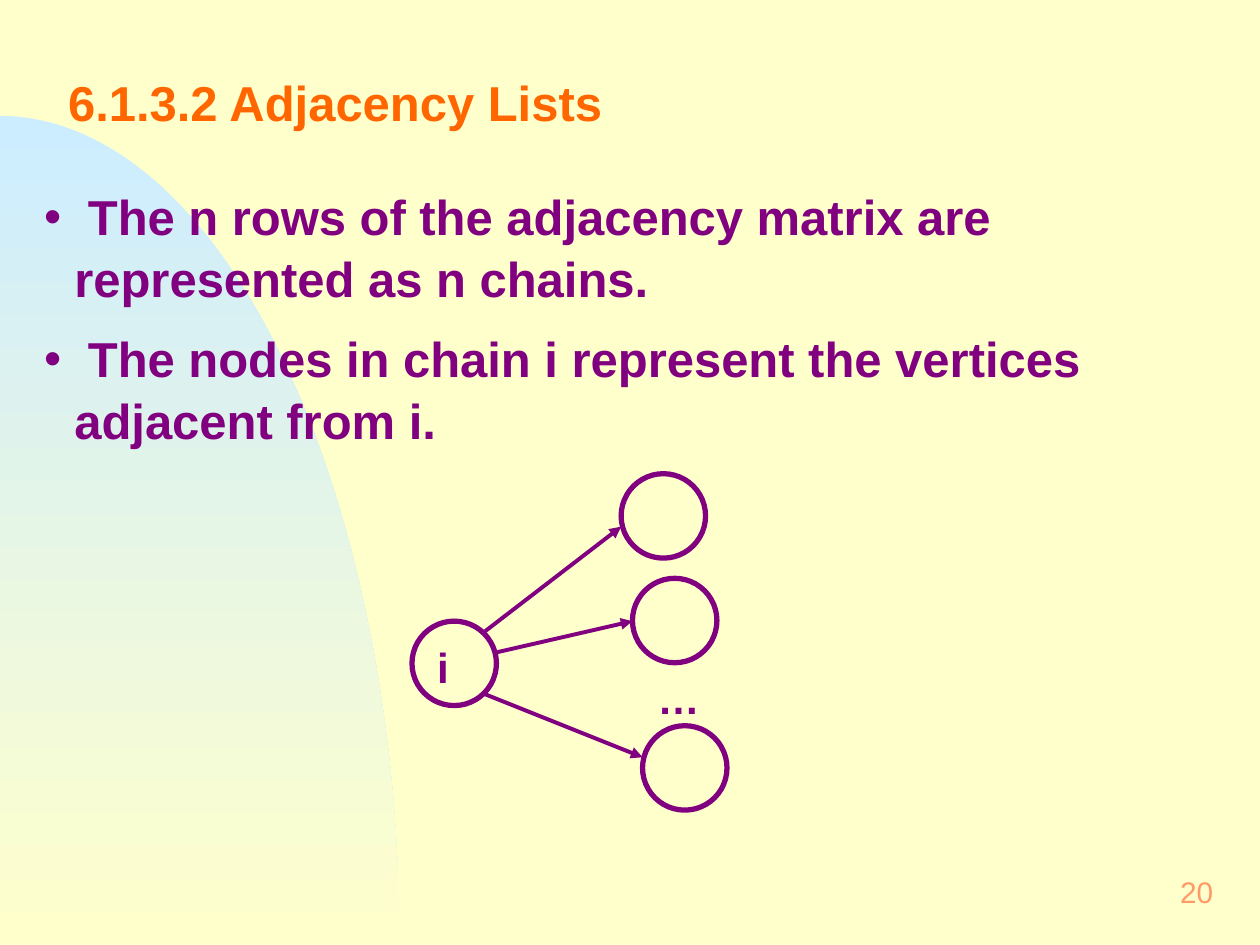
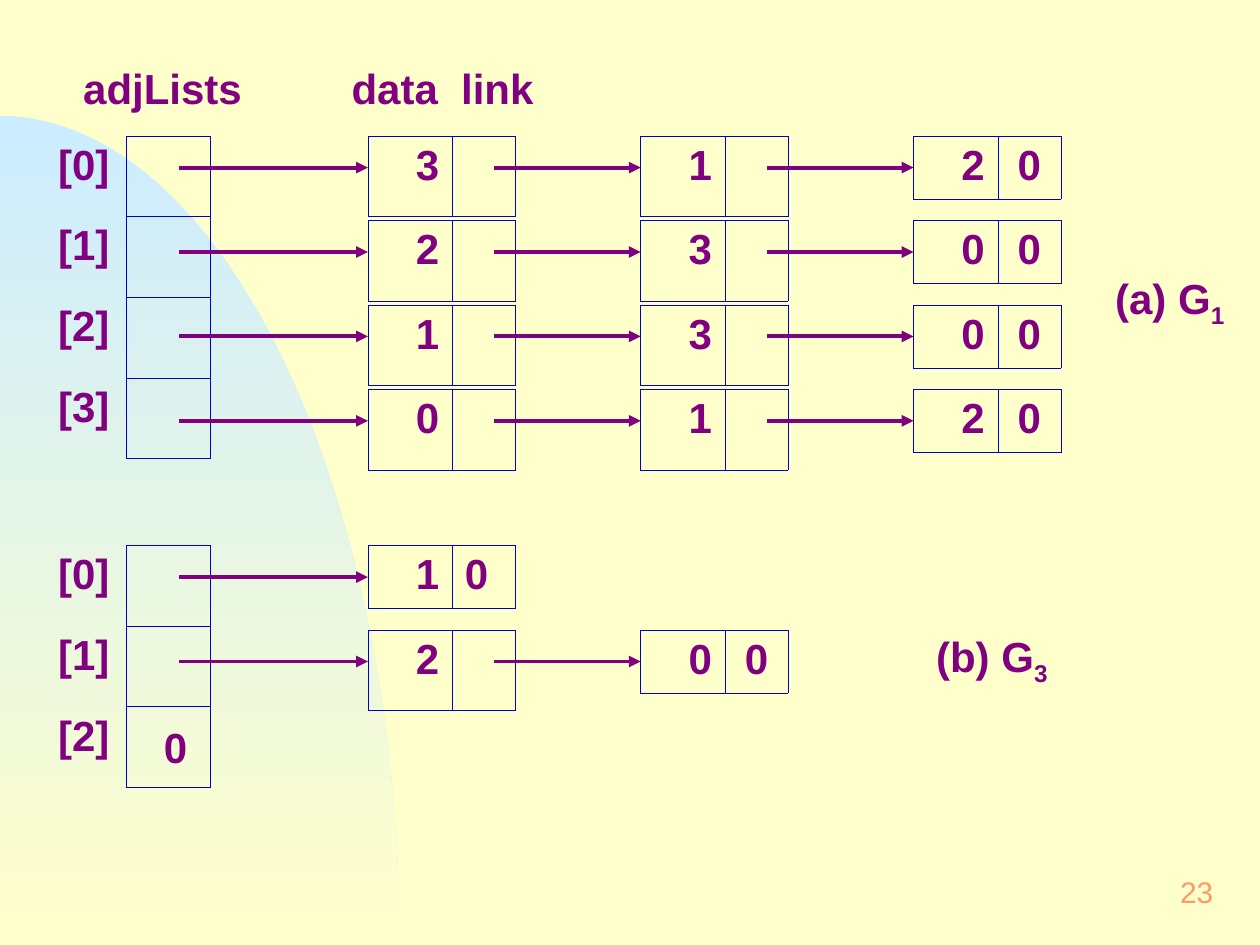
import math

import pptx
import pptx.dml.color
import pptx.enum.dml
import pptx.enum.shapes
import pptx.enum.text
import pptx.oxml
import pptx.oxml.ns
import pptx.util
from pptx.util import Inches

# Shared look
BACKGROUND, SKY = "FFFFCC", "CCECFF"
PURPLE, ORANGE, PEACH, BLUE = "800080", "FF6600", "FF9966", "0000CC"
FONT = "Arial"
NO_STYLE_TABLE = "{2D5ABB26-0587-4C30-8999-92F81FD0307C}"
ALIGN = pptx.enum.text.PP_ALIGN
ANCHOR = pptx.enum.text.MSO_ANCHOR

# Shared measures, in inches
CIRCLE_SIZE = 0.67
NODE_LEFT, NODE_PITCH, CHAIN_PITCH = 2.92, 2.165, 0.67
ROW_HEIGHT, LAST_ROW_HEIGHT = 0.64, 0.5


def rgb(color):
    return pptx.dml.color.RGBColor.from_string(color)


def add_xml(parent, xml):
    namespace = pptx.oxml.ns.nsdecls("a")
    element = pptx.oxml.parse_xml(xml.replace(" ", f" {namespace} ", 1))
    parent.append(element)
    return element


def style_font(font, size=24, color=PURPLE, bold=True):
    formats = {"name": FONT, "size": pptx.util.Pt(size), "bold": bold}
    for name, value in formats.items():
        setattr(font, name, value)
    font.color.rgb = rgb(color)


def style_frame(frame, side=0.12, top=0.06, anchor=ANCHOR.TOP):
    formats = {
        "margin_left": Inches(side), "margin_right": Inches(side),
        "margin_top": Inches(top), "margin_bottom": Inches(top),
        "vertical_anchor": anchor, "word_wrap": True,
        "auto_size": pptx.enum.text.MSO_AUTO_SIZE.NONE,
    }
    for name, value in formats.items():
        setattr(frame, name, value)


def place(shape, left, top, width, height):
    box = {"left": left, "top": top, "width": width, "height": height}
    for name, value in box.items():
        setattr(shape, name, Inches(value))


def write(paragraph, text, align=ALIGN.LEFT, **font_format):
    paragraph.alignment = align
    run = paragraph.add_run()
    run.text = text
    style_font(run.font, **font_format)
    return run


def add_label(slide, text, left, top, width, height=0.52, align=ALIGN.LEFT,
              anchor=ANCHOR.TOP, line_spacing=1.05, **font_format):
    box = slide.shapes.add_textbox(*map(Inches, (left, top, width, height)))
    style_frame(box.text_frame, anchor=anchor)
    paragraph = box.text_frame.paragraphs[0]
    paragraph.line_spacing = line_spacing
    write(paragraph, text, align, **font_format)
    return paragraph


def add_graph_caption(slide, text, subscript, left, top, width):
    paragraph = add_label(slide, text, left, top, width, 0.56)
    run = write(paragraph, subscript)
    run.font._element.set("baseline", "-25000")


def add_arrow(slide, start, end):
    arrow = slide.shapes.add_connector(
        pptx.enum.shapes.MSO_CONNECTOR.STRAIGHT, *map(Inches, start + end))
    arrow.line.color.rgb = rgb(PURPLE)
    arrow.line.width = pptx.util.Pt(2.25)
    add_xml(arrow.line._get_or_add_ln(), '<a:tailEnd type="triangle"/>')
    add_xml(arrow._element.spPr, "<a:effectLst />")


def add_circle(slide, left, top):
    circle = slide.shapes.add_shape(
        pptx.enum.shapes.MSO_SHAPE.OVAL,
        *map(Inches, (left, top, CIRCLE_SIZE, CIRCLE_SIZE)))
    circle.shadow.inherit = False
    circle.fill.background()
    circle.line.color.rgb = rgb(PURPLE)
    circle.line.width = pptx.util.Pt(3)


def add_plain_table(slide, left, top, widths, row_count, row_height):
    frame = slide.shapes.add_table(
        row_count, len(widths),
        *map(Inches, (left, top, sum(widths), row_count * row_height)))
    table = frame.table
    table.first_row = table.horz_banding = False
    table._tbl.tblPr.find(pptx.oxml.ns.qn("a:tableStyleId")).text = NO_STYLE_TABLE
    for column, width in zip(table.columns, widths):
        column.width = Inches(width)
    return table


def style_cell(cell, text="", sides="LRTB", align=ALIGN.CENTER, indent=0.1, top=0.05):
    properties = cell._tc.get_or_add_tcPr()
    for side in sides:
        add_xml(properties,
                f'<a:ln{side} w="5715"><a:solidFill><a:srgbClr val="{BLUE}"/>'
                f"</a:solidFill></a:ln{side}>")
    cell.fill.background()
    cell.margin_left, cell.margin_top = Inches(indent), Inches(top)
    if text:
        write(cell.text_frame.paragraphs[0], text, align)


def add_node(slide, left, top, value, link="", link_align=ALIGN.CENTER):
    height = LAST_ROW_HEIGHT if link else ROW_HEIGHT
    table = add_plain_table(slide, left, top, (0.67, 0.5), 1, height)
    style_cell(table.cell(0, 0), value, align=ALIGN.LEFT, indent=0.38)
    style_cell(table.cell(0, 1), link, align=link_align)


def add_adjacency_lists(slide, top, chains, link_align):
    heads = add_plain_table(slide, 0.33, top, (0.67, 0.67), len(chains), ROW_HEIGHT)
    for index, chain in enumerate(chains):
        style_cell(heads.cell(index, 0), f"[{index}]", sides="R")
        if not chain:
            style_cell(heads.cell(index, 1), "0", indent=0.22, top=0.15)
            continue
        style_cell(heads.cell(index, 1))
        chain_top = top + index * CHAIN_PITCH
        arrow_top = chain_top + 0.25
        arrow_start = 1.42
        for position, value in enumerate(chain):
            left = NODE_LEFT + position * NODE_PITCH
            is_last = position == len(chain) - 1
            align = link_align if position == 0 else ALIGN.CENTER
            add_node(slide, left, chain_top, value, "0" if is_last else "", align)
            add_arrow(slide, (arrow_start, arrow_top), (left, arrow_top))
            arrow_start = left + 1


def decorate_master(presentation, slide):
    """Background colour and the shaded quarter ellipse behind every slide."""
    master = presentation.slide_master
    master.background.fill.solid()
    master.background.fill.fore_color.rgb = rgb(BACKGROUND)
    width, height, steps = 3.17, 6.58, 60
    angles = [math.pi / 2 * step / steps for step in range(steps + 1)]
    points = [(Inches(width * math.sin(a)), Inches(7.5 - height * math.cos(a)))
              for a in angles]
    builder = slide.shapes.build_freeform(*points[0])
    builder.add_line_segments(points[1:] + [(0, Inches(7.5))], close=True)
    arc = builder.convert_to_shape()
    arc.shadow.inherit = False
    arc.line.fill.background()
    arc.fill.gradient()
    arc.fill.gradient_angle = 270
    for stop, color, position in zip(arc.fill.gradient_stops, (SKY, BACKGROUND), (0, 1)):
        stop.color.rgb = rgb(color)
        stop.position = position
    arc._element.nvSpPr.cNvPr.set("id", "20")
    master.shapes.element.insert(2, arc._element)


def add_page_number(slide, number):
    add_label(slide, number, 7.67, 6.83, 2.08, 0.5, ALIGN.RIGHT, ANCHOR.MIDDLE,
              line_spacing=1, size=17, color=PEACH, bold=False)


def fill_title(slide, text):
    title = slide.shapes.title
    place(title, 0.42, 0.33, 9.25, 1.08)
    style_frame(title.text_frame, anchor=ANCHOR.MIDDLE)
    paragraph = title.text_frame.paragraphs[0]
    paragraph.line_spacing = 0.7
    write(paragraph, text, size=28, color=ORANGE)


def fill_bullets(slide, items):
    body = slide.placeholders[1]
    place(body, 0.25, 1.41, 9.58, 2.12)
    frame = body.text_frame
    style_frame(frame, side=0.1, top=0.05)
    for index, item in enumerate(items):
        paragraph = frame.add_paragraph() if index else frame.paragraphs[0]
        paragraph.line_spacing = 1.05
        paragraph.space_before = pptx.util.Pt(10.5 if index else 0)
        properties = paragraph._p.get_or_add_pPr()
        properties.set("marL", str(Inches(0.24)))
        properties.set("indent", str(-Inches(0.24)))
        add_xml(properties, f'<a:buClr ><a:srgbClr val="{PURPLE}"/></a:buClr>')
        add_xml(properties, '<a:buFont typeface="Arial"/>')
        add_xml(properties, '<a:buChar char="•"/>')
        write(paragraph, item, size=28)


def build_definition_slide(slide):
    fill_title(slide, "6.1.3.2 Adjacency Lists")
    fill_bullets(slide, [
        " The n rows of the adjacency matrix are represented as n chains.",
        " The nodes in chain i represent the vertices adjacent from i.",
    ])
    # Vertex i and its neighbours
    for left, top in ((3.27, 4.93), (4.93, 3.76), (5.02, 4.59), (5.1, 5.76)):
        add_circle(slide, left, top)
    for start, end in (((3.85, 5.01), (4.93, 4.18)),
                       ((3.93, 5.18), (5.02, 4.93)),
                       ((3.85, 5.51), (5.1, 6.01))):
        add_arrow(slide, start, end)
    add_label(slide, "i", 3.35, 5.01, 0.5)
    add_label(slide, "…", 5.1, 5.26, 0.5)
    add_page_number(slide, "20")


def build_example_slide(slide):
    add_label(slide, "adjLists", 0.25, 0.42, 2.08, align=ALIGN.CENTER)
    field_names = add_label(slide, "data\tlink", 2.67, 0.42, 1.92)
    add_xml(field_names._p.get_or_add_pPr(),
            f'<a:tabLst ><a:tab pos="{Inches(0.87)}" algn="l"/></a:tabLst>')
    # Each string lists the vertices of one chain
    add_adjacency_lists(slide, 1.08, ("312", "230", "130", "012"), ALIGN.CENTER)
    add_adjacency_lists(slide, 4.33, ("1", "20", ""), ALIGN.LEFT)
    add_graph_caption(slide, "(a) G", "1", 8.73, 2.08, 1.15)
    add_graph_caption(slide, "(b) G", "3", 7.31, 4.92, 1.33)
    add_page_number(slide, "23")


def main():
    presentation = pptx.Presentation()
    presentation.slide_width, presentation.slide_height = Inches(10), Inches(7.5)
    layouts = presentation.slide_layouts
    definition = presentation.slides.add_slide(layouts[1])
    example = presentation.slides.add_slide(layouts[6])
    decorate_master(presentation, definition)
    build_definition_slide(definition)
    build_example_slide(example)
    presentation.save("out.pptx")


if __name__ == "__main__":
    main()
